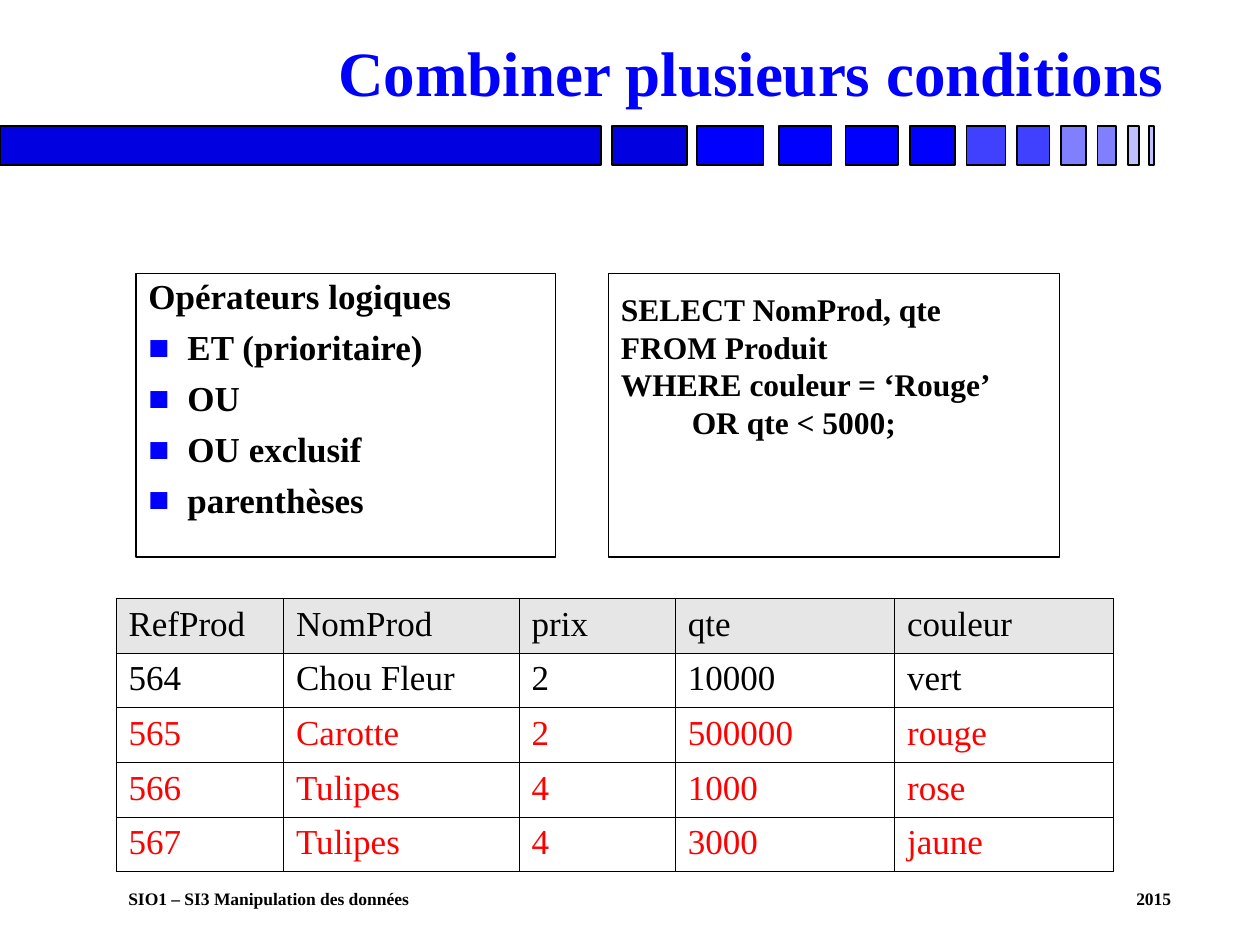
from pptx import Presentation
from pptx.dml.color import RGBColor
from pptx.enum.shapes import MSO_SHAPE
from pptx.enum.text import MSO_ANCHOR, PP_ALIGN
from pptx.oxml.ns import qn
from pptx.util import Inches, Pt
from lxml.etree import SubElement

FACE = "Times New Roman"
HUES = {"ink": "000000", "blue": "0000FF", "deep": "0000E0", "mid": "4040FF",
        "soft": "8080FF", "pale": "C0C0FF", "head": "E6E6E6", "red": "FF0000"}

# left, width, colour
BLOCKS = [(0, 4.77, "deep"), (4.86, 0.59, "deep"), (5.53, 0.53, "blue"),
          (6.18, 0.42, "blue"), (6.71, 0.42, "blue"), (7.22, 0.36, "blue"),
          (7.67, 0.31, "mid"), (8.07, 0.26, "mid"), (8.42, 0.2, "soft"),
          (8.71, 0.15, "soft"), (8.95, 0.09, "pale"), (9.12, 0.04, "pale")]

LOGIC = ["ET (prioritaire)", "OU", "OU exclusif", "parenthèses"]
QUERY = ["SELECT NomProd, qte", "FROM Produit", "WHERE couleur = ‘Rouge’",
         "         OR qte < 5000;"]

WIDTHS = [1.33, 1.87, 1.24, 1.74, 1.74]
ROWS = [["RefProd", "NomProd", "prix", "qte", "couleur"],
        ["564", "Chou Fleur", "2", "10000", "vert"],
        ["565", "Carotte", "2", "500000", "rouge"],
        ["566", "Tulipes", "4", "1000", "rose"],
        ["567", "Tulipes", "4", "3000", "jaune"]]


def color(name):
    return RGBColor.from_string(HUES[name])


def style(para, size, hue="ink", bold=True):
    para.font.color.rgb = color(hue)
    for key, value in {"name": FACE, "size": Pt(size), "bold": bold}.items():
        setattr(para.font, key, value)


def add_text(slide, box, lines, size, hue="ink"):
    """Add a text box with one paragraph per line and return its frame."""
    frame = slide.shapes.add_textbox(*map(Inches, box)).text_frame
    frame.word_wrap = True
    frame.text = "\n".join(lines)
    for para in frame.paragraphs:
        style(para, size, hue)
    return frame


def add_rect(slide, box, hue=None):
    rect = slide.shapes.add_shape(MSO_SHAPE.RECTANGLE, *map(Inches, box))
    rect.shadow.inherit = False
    rect.line.color.rgb = color("ink")
    rect.line.width = Pt(1)
    if hue:
        rect.fill.solid()
        rect.fill.fore_color.rgb = color(hue)
    else:
        rect.fill.background()


def add_band(slide, left, top, height):
    for start, width, hue in BLOCKS:
        add_rect(slide, (left + start, top, width, height), hue)


def add_title(slide, box):
    frame = add_text(slide, box, ["Combiner plusieurs conditions"], 36, "blue")
    frame.vertical_anchor = MSO_ANCHOR.BOTTOM
    para = frame.paragraphs[0]
    para.alignment = PP_ALIGN.RIGHT
    para.line_spacing = 0.9


def add_bullet(para):
    props = para._p.get_or_add_pPr()
    hue = SubElement(props, qn("a:buClr"))
    SubElement(hue, qn("a:srgbClr"), val=HUES["blue"])
    SubElement(props, qn("a:buFont"), typeface=FACE)
    SubElement(props, qn("a:buChar"), char="■")


def add_logic(slide, box):
    left, top, width, height = box
    frame = add_text(slide, box, ["Opérateurs logiques"], 20)
    frame.paragraphs[0].line_spacing = 0.9
    for item in LOGIC:
        para = frame.add_paragraph()
        para.text = item
        para.line_spacing = 0.9
        para.space_before = Pt(7.5)
        props = para._p.get_or_add_pPr()
        props.set("marL", str(Inches(0.31)))
        props.set("indent", str(-Inches(0.31)))
        add_bullet(para)
        style(para, 20)
    add_rect(slide, box)


def add_query(slide, box):
    left, top, width, height = box
    add_text(slide, (left, top + 0.08, width, height - 0.5), QUERY, 18)
    add_rect(slide, box)


def add_borders(cell):
    props = cell._tc.get_or_add_tcPr()
    for side in ("lnL", "lnR", "lnT", "lnB"):
        edge = SubElement(props, qn(f"a:{side}"), w=str(Pt(0.45)))
        fill = SubElement(edge, qn("a:solidFill"))
        SubElement(fill, qn("a:srgbClr"), val=HUES["ink"])


def add_grid(slide, box):
    """Add the product table, with the matching rows in red."""
    table = slide.shapes.add_table(len(ROWS), len(WIDTHS),
                                   *map(Inches, box)).table
    table.first_row = table.horz_banding = False
    for col, width in zip(table.columns, WIDTHS):
        col.width = Inches(width)
    for r, row in enumerate(ROWS):
        for c, text in enumerate(row):
            cell = table.cell(r, c)
            cell.text = text
            style(cell.text_frame.paragraphs[0], 20,
                  "red" if r > 1 else "ink", False)
            add_borders(cell)
            if r == 0:
                cell.fill.solid()
                cell.fill.fore_color.rgb = color("head")
            else:
                cell.fill.background()


def add_footer(slide, box):
    frame = add_text(slide, box, [], 10)
    para = frame.paragraphs[0]
    para.text = "SIO1 – SI3 Manipulation des données\t2015"
    props = para._p.get_or_add_pPr()
    props.clear()
    tabs = SubElement(props, qn("a:tabLst"))
    SubElement(tabs, qn("a:tab"), pos=str(Inches(8)), algn="l")
    style(para, 10)


def main():
    deck = Presentation()
    deck.slide_width, deck.slide_height = Inches(10), Inches(7.5)
    slide = deck.slides.add_slide(deck.slide_layouts[6])
    add_band(slide, 0, 1, 0.31)
    add_footer(slide, (0.92, 7, 8.83, 0.26))
    add_title(slide, (1.48, 0.23, 7.85, 0.69))
    add_logic(slide, (1.08, 2.17, 3.33, 2.25))
    add_query(slide, (4.83, 2.17, 3.58, 2.25))
    add_grid(slide, (0.92, 4.75, 7.92, 2.17))
    deck.save("out.pptx")


if __name__ == "__main__":
    main()
